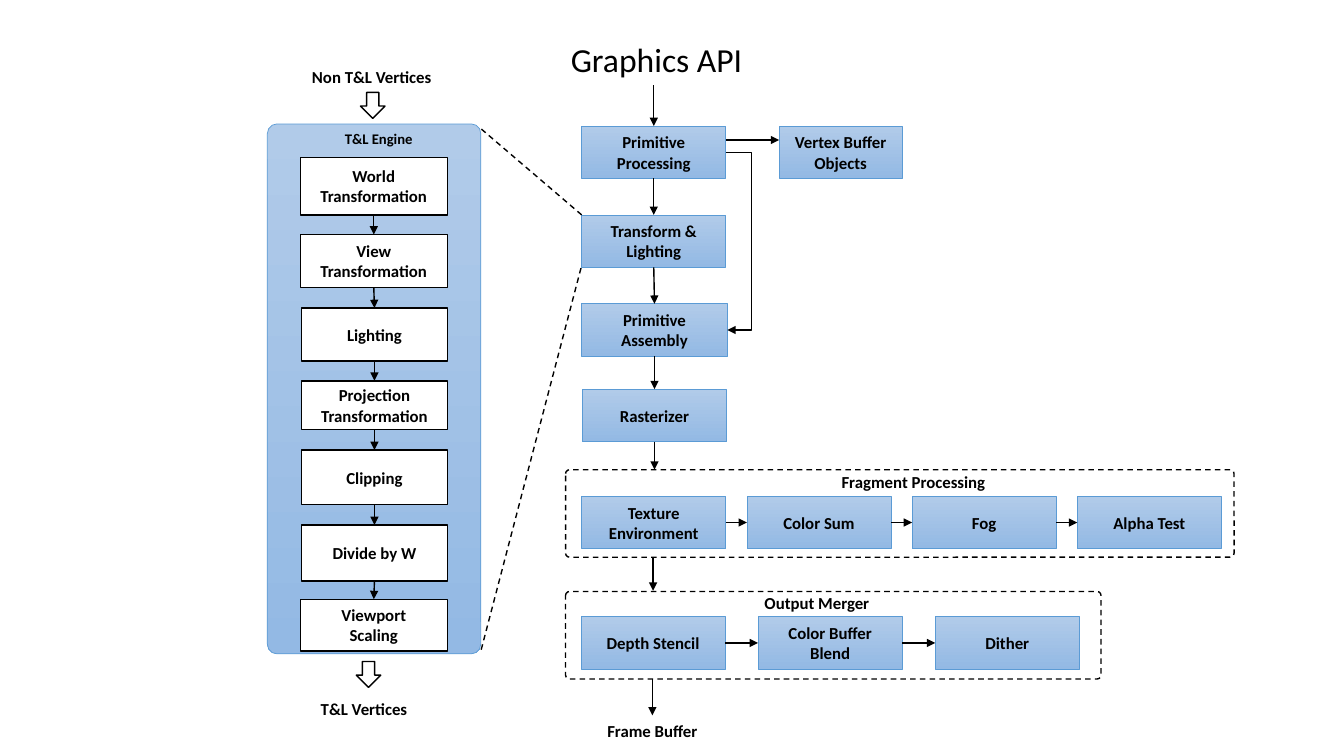
"""Build the graphics pipeline slide with its T&L engine detail."""
from itertools import pairwise
from lxml import etree
from pptx import Presentation
from pptx.dml.color import RGBColor
from pptx.enum import dml, shapes, text
from pptx.oxml.ns import qn
from pptx.util import Pt

INK = {"black": "000000", "white": "FFFFFF", "edge": "5B9BD5",
       "light": "B1CBE9", "deep": "93B9E4"}
RGB = {name: RGBColor.from_string(code) for name, code in INK.items()}
KIND = shapes.MSO_SHAPE

deck = Presentation()
deck.slide_width, deck.slide_height = Pt(960), Pt(540)
slide = deck.slides.add_slide(deck.slide_layouts[5])


def box(x, y, w, h, words="", look="blue", kind=KIND.RECTANGLE):
    """Add a shape, blue, white or dashed, with bold centred text."""
    item = slide.shapes.add_shape(kind, Pt(x), Pt(y), Pt(w), Pt(h))
    item.shadow.inherit = False
    if kind == KIND.ROUNDED_RECTANGLE:
        item.adjustments[0] = 0.045
    if look == "blue":
        item.fill.gradient()
        item.fill.gradient_angle = 270
        for stop, tone in zip(item.fill.gradient_stops, ("light", "deep")):
            stop.color.rgb = RGB[tone]
    elif look == "white":
        item.fill.solid()
        item.fill.fore_color.rgb = RGB["white"]
    else:
        item.fill.background()
        item.line.dash_style = dml.MSO_LINE.DASH
    item.line.color.rgb = RGB["edge" if look == "blue" else "black"]
    item.line.width = Pt(0.5 if look == "blue" else 1)
    if words:
        frame = item.text_frame
        frame.text = words
        frame.word_wrap = True
        frame.vertical_anchor = text.MSO_ANCHOR.MIDDLE
        for para in frame.paragraphs:
            para.alignment = text.PP_ALIGN.CENTER
            para.font.name, para.font.size, para.font.bold = "Calibri", Pt(12), True
            para.font.color.rgb = RGB["black"]
    return item


def link(x1=0, y1=0, x2=0, y2=0, dash=False, kind=shapes.MSO_CONNECTOR.STRAIGHT):
    """Add a black arrow, or a plain dashed line."""
    line = slide.shapes.add_connector(kind, Pt(x1), Pt(y1), Pt(x2), Pt(y2))
    line.line.color.rgb = RGB["black"]
    line.line.width = Pt(1)
    props = line.element.spPr
    if dash:
        line.line.dash_style = dml.MSO_LINE.DASH
    else:
        etree.SubElement(props.find(qn("a:ln")), qn("a:tailEnd"), type="triangle")
    etree.SubElement(props, qn("a:effectLst"))
    return line


title = slide.shapes.title
title.left, title.top, title.width, title.height = Pt(400), Pt(24), Pt(138), Pt(36)
title.text_frame.text = "Graphics API"
title.text_frame.word_wrap = False
title.text_frame.vertical_anchor = text.MSO_ANCHOR.MIDDLE
head = title.text_frame.paragraphs[0]
head.alignment = text.PP_ALIGN.CENTER
head.font.name, head.font.size = "Calibri", Pt(24)
head.font.color.rgb = RGB["black"]

box(191, 88.5, 152.5, 378.5, kind=KIND.ROUNDED_RECTANGLE)
for y, w in ((335.5, 477.5), (422.5, 382.5)):
    box(404, y, w, 62.5, look="dash", kind=KIND.ROUNDED_RECTANGLE)
for x, y in ((257.5, 66), (254.5, 472.5)):
    box(x, y, 17.5, 18.5, look="white", kind=KIND.DOWN_ARROW)

steps = [box(x, y, w, h, words, "white") for x, y, w, h, words in (
    (214.5, 112.5, 105, 41, "World Transformation"),
    (214.5, 167.5, 105, 38, "View Transformation"),
    (215.5, 220, 104, 38, "Lighting"),
    (215.5, 272, 104, 35, "Projection Transformation"),
    (215.5, 321.5, 104, 39, "Clipping"),
    (215.5, 375, 104, 40, "Divide by W"),
    (214.5, 428, 105, 37, "Viewport\nScaling"))]

main = [box(x, y, w, 37.5, words) for x, y, w, words in (
    (415.5, 90, 103, "Primitive Processing"),
    (415.5, 153.5, 103, "Transform & Lighting"),
    (415.5, 217, 104, "Primitive Assembly"),
    (416, 278, 103, "Rasterizer"))]
box(556.5, 90, 88, 37.5, "Vertex Buffer Objects")

frags = [box(415.5 + 118 * i, 354.5, 103, 37.5, words) for i, words in enumerate(
    ("Texture Environment", "Color Sum", "Fog", "Alpha Test"))]
merge = [box(415 + 126.5 * i, 440.5, 103, 37.5, words) for i, words in enumerate(
    ("Depth Stencil", "Color Buffer Blend", "Dither"))]

for group, out, into in ((steps, 2, 0), (main, 2, 0), (frags, 3, 1), (merge, 3, 1)):
    for one, two in pairwise(group):
        line = link()
        line.begin_connect(one, out)
        line.end_connect(two, into)

link(467, 61, 467, 90).end_connect(main[0], 0)
link(467.5, 315.5, 467.5, 335.5).begin_connect(main[3], 2)
link(518.5, 100, 556.5, 100)
link(466.5, 398, 466.5, 422)
link(466, 485, 466, 511)
link(415.5, 153.5, 343, 91.5, dash=True)
link(415, 191.5, 343.5, 465, dash=True)

bend = link(518.5, 109, 519.5, 235.75, kind=shapes.MSO_CONNECTOR.ELBOW)
guides = bend.element.spPr.find(qn("a:prstGeom")).get_or_add_avLst()
etree.SubElement(guides, qn("a:gd"), name="adj1", fmla="val 1850000")

for mid, y, size, words in (
        (265.5, 44, 12, "Non T&L Vertices"), (260, 495.5, 12, "T&L Vertices"),
        (270.5, 89.5, 10.5, "T&L Engine"), (652.5, 333.5, 12, "Fragment Processing"),
        (583.5, 419.5, 12, "Output Merger"), (466, 511, 12, "Frame Buffer")):
    label = slide.shapes.add_textbox(Pt(mid - 60), Pt(y), Pt(120), Pt(22))
    label.text_frame.text = words
    label.text_frame.word_wrap = True
    para = label.text_frame.paragraphs[0]
    para.alignment = text.PP_ALIGN.CENTER
    para.font.name, para.font.size, para.font.bold = "Calibri", Pt(size), True
    para.font.color.rgb = RGB["black"]

deck.save("out.pptx")
